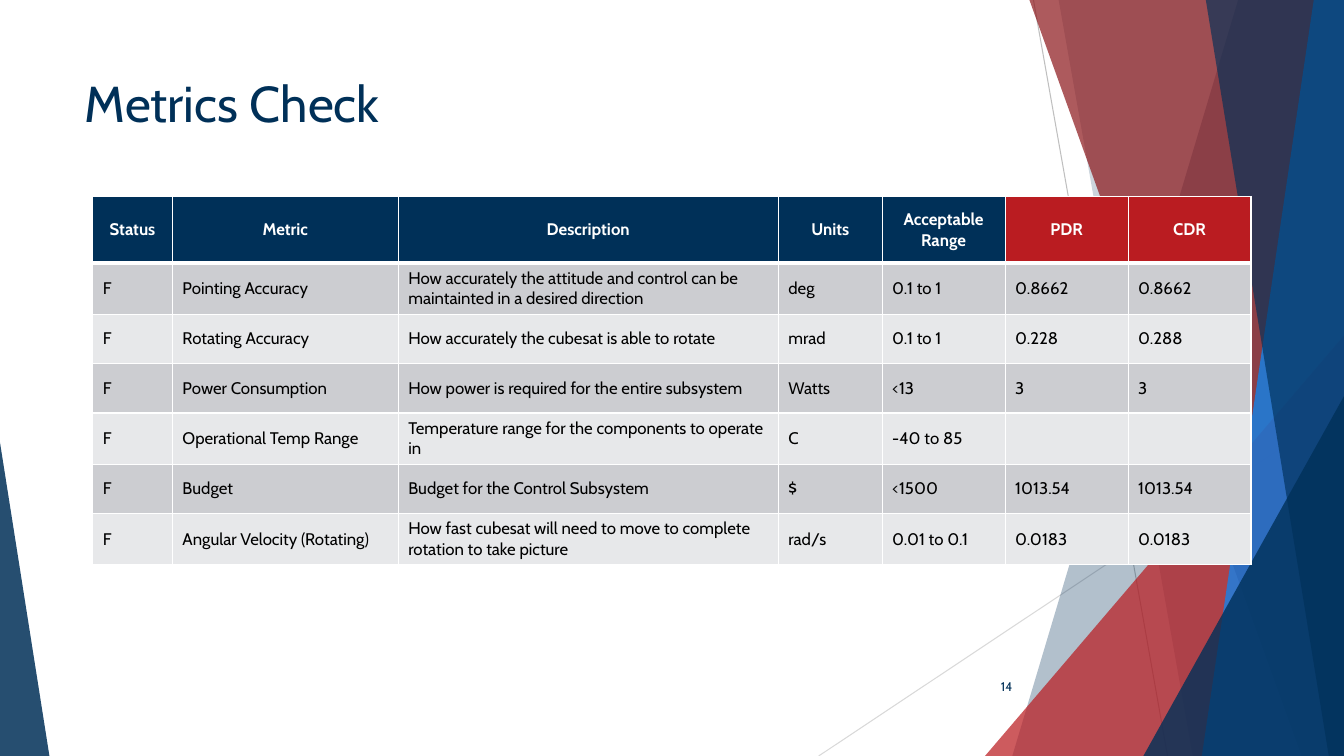
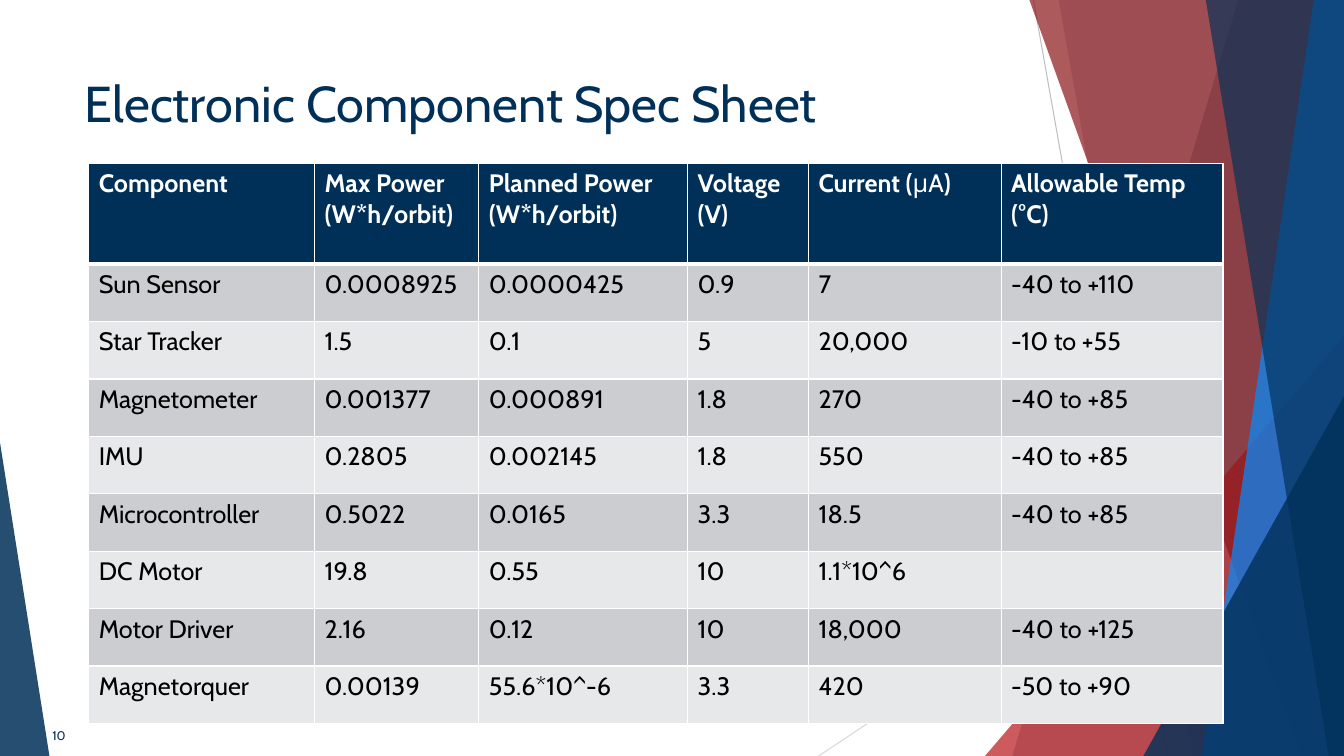
from dataclasses import dataclass

from lxml.etree import SubElement
from pptx import Presentation
from pptx.dml.color import RGBColor
from pptx.enum.shapes import MSO_CONNECTOR, MSO_SHAPE
from pptx.enum.text import MSO_ANCHOR, PP_ALIGN
from pptx.oxml.ns import qn
from pptx.util import Pt

PX = 9144  # EMU in one px, 100 px to the inch
SLIDE_WIDTH, SLIDE_HEIGHT = 1333, 750


@dataclass(frozen=True)
class Theme:
    font: str = "Cabin"
    navy: str = "003058"
    red: str = "BA1C21"
    dark_red: str = "8B1519"
    blue: str = "028CFF"
    white: str = "FFFFFF"
    black: str = "000000"
    thin_line: str = "BFBFBF"
    pale_line: str = "D9D9D9"
    stripes: tuple = ("CCCDD1", "E7E8EA")
    title_size: int = 36
    number_size: int = 9
    grid_width: int = 1
    header_rule_width: int = 3


THEME = Theme()


def px(*lengths):
    return [length * PX for length in lengths]


def add_run(paragraph, text, size, color, bold=False):
    run = paragraph.add_run()
    run.text = text
    run.font.name = THEME.font
    run.font.size = Pt(size)
    run.font.bold = bold
    run.font.color.rgb = RGBColor.from_string(color)


# Background artwork
def paint(shape, color, opacity):
    shape.shadow.inherit = False
    shape.fill.solid()
    shape.fill.fore_color.rgb = RGBColor.from_string(color)
    shape.line.fill.background()
    color_element = shape.element.xpath("./p:spPr/a:solidFill/a:srgbClr")[0]
    SubElement(color_element, qn("a:alpha")).set("val", str(opacity * 1000))


def add_thin_line(slide, start, end, color):
    connector = slide.shapes.add_connector(MSO_CONNECTOR.STRAIGHT, *px(*start, *end))
    connector.line.color.rgb = RGBColor.from_string(color)
    connector.line.width = Pt(0.75)
    SubElement(connector.element.spPr, qn("a:effectLst"))


def add_band(slide, top_left, bottom_left, color, opacity):
    """Full-height band from a slanted left side to the right slide edge."""
    builder = slide.shapes.build_freeform(top_left, 0, scale=PX)
    builder.add_line_segments(
        [(SLIDE_WIDTH, 0), (SLIDE_WIDTH, SLIDE_HEIGHT), (bottom_left, SLIDE_HEIGHT)])
    paint(builder.convert_to_shape(), color, opacity)


def add_corner(slide, left, top, width, apex, color, opacity):
    """Triangle standing on the bottom edge, apex 0 at left and 1 at right."""
    triangle = slide.shapes.add_shape(
        MSO_SHAPE.ISOSCELES_TRIANGLE, *px(left, top, width, SLIDE_HEIGHT - top))
    triangle.adjustments[0] = apex
    paint(triangle, color, opacity)


def add_artwork(slide):
    add_thin_line(slide, (1025, 0), (1158, 750), THEME.thin_line)
    add_thin_line(slide, (1333, 403), (812, 750), THEME.pale_line)
    add_band(slide, 1228, 1004, THEME.navy, 30)
    add_band(slide, 1050, 1183, THEME.navy, 20)
    add_corner(slide, 977, 333, 356, 1, THEME.red, 72)
    add_band(slide, 1021, 1291, THEME.dark_red, 70)
    add_band(slide, 1303, 1192, THEME.blue, 70)
    add_band(slide, 1196, 1318, THEME.navy, 65)
    add_corner(slide, 1134, 393, 199, 1, THEME.navy, 80)
    add_corner(slide, 0, 439, 49, 0, THEME.navy, 85)


def move_artwork_to_layout(slide, layout):
    artwork = [shape for shape in slide.shapes if not shape.is_placeholder]
    for number, shape in enumerate(artwork, start=100):
        shape.element.xpath(".//p:cNvPr")[0].set("id", str(number))
        layout.shapes.element.append(shape.element)


# Title and slide number
def add_title(slide, text, box=(74, 67, 940, 144)):
    title = slide.shapes.title
    title.left, title.top, title.width, title.height = px(*box)
    frame = title.text_frame
    frame.word_wrap = True
    frame.vertical_anchor = MSO_ANCHOR.TOP
    paragraph = frame.paragraphs[0]
    paragraph.alignment = PP_ALIGN.LEFT
    add_run(paragraph, text, THEME.title_size, THEME.navy)


def add_slide_number(slide, number, left, top):
    frame = slide.shapes.add_textbox(*px(left, top, 75, 40)).text_frame
    frame.word_wrap = True
    frame.vertical_anchor = MSO_ANCHOR.MIDDLE
    paragraph = frame.paragraphs[0]
    paragraph.alignment = PP_ALIGN.RIGHT
    add_run(paragraph, str(number), THEME.number_size, THEME.navy)


# Tables
def set_borders(cell, top_width, bottom_width):
    properties = cell._tc.get_or_add_tcPr()
    widths = {"lnL": THEME.grid_width, "lnR": THEME.grid_width,
              "lnT": top_width, "lnB": bottom_width}
    for position, (side, width) in enumerate(widths.items()):
        line = properties.makeelement(qn(f"a:{side}"), {"w": str(Pt(width))})
        fill = SubElement(line, qn("a:solidFill"))
        SubElement(fill, qn("a:srgbClr")).set("val", THEME.white)
        properties.insert(position, line)


def write_cell(cell, content, size, color, bold, alignment):
    """A string holds one paragraph a line; a tuple holds runs, every second one regular."""
    lines = [content] if isinstance(content, tuple) else [(line,) for line in content.split("\n")]
    frame = cell.text_frame
    for index, runs in enumerate(lines):
        paragraph = frame.add_paragraph() if index else frame.paragraphs[0]
        paragraph.alignment = alignment
        for position, text in enumerate(runs):
            if text:
                add_run(paragraph, text, size, color, bold and position % 2 == 0)


def add_data_table(slide, left, top, column_widths, header_height, row_height, rows,
                   size, anchor, header_alignment, red_columns=()):
    heights = [header_height] + [row_height] * (len(rows) - 1)
    table = slide.shapes.add_table(
        len(rows), len(column_widths),
        *px(left, top, sum(column_widths), sum(heights))).table
    table.first_row = table.horz_banding = False
    for column, width in zip(table.columns, column_widths):
        column.width = width * PX
    for row_index, (row, height, contents) in enumerate(zip(table.rows, heights, rows)):
        row.height = height * PX
        is_header = row_index == 0
        for column_index, (cell, content) in enumerate(zip(row.cells, contents)):
            if is_header:
                fill = THEME.red if column_index in red_columns else THEME.navy
            else:
                fill = THEME.stripes[(row_index - 1) % 2]
            cell.fill.solid()
            cell.fill.fore_color.rgb = RGBColor.from_string(fill)
            cell.vertical_anchor = anchor
            set_borders(
                cell,
                THEME.header_rule_width if row_index == 1 else THEME.grid_width,
                THEME.header_rule_width if is_header else THEME.grid_width)
            write_cell(cell, content, size, THEME.white if is_header else THEME.black,
                       is_header, header_alignment if is_header else PP_ALIGN.LEFT)


METRICS = [
    ("Status", "Metric", "Description", "Units", "Acceptable\nRange", "PDR", "CDR"),
    ("F", "Pointing Accuracy",
     "How accurately the attitude and control can be maintainted in a desired direction",
     "deg", "0.1 to 1", "0.8662", "0.8662"),
    ("F", "Rotating Accuracy", "How accurately the cubesat is able to rotate",
     "mrad", "0.1 to 1", "0.228", "0.288"),
    ("F", "Power Consumption", "How power is required for the entire subsystem",
     "Watts", "<13", "3", "3"),
    ("F", "Operational Temp Range", "Temperature range for the components to operate in",
     "C", "-40 to 85", "", ""),
    ("F", "Budget", "Budget for the Control Subsystem", "$", "<1500", "1013.54", "1013.54"),
    ("F", "Angular Velocity (Rotating)",
     "How fast cubesat will need to move to complete rotation to take picture",
     "rad/s", "0.01 to 0.1", "0.0183", "0.0183"),
]

COMPONENTS = [
    ("Component", "Max Power (W*h/orbit)", "Planned Power (W*h/orbit)", "Voltage (V)",
     ("Current (", "μA", ")"), "Allowable Temp (°C)"),
    ("Sun Sensor", "0.0008925", "0.0000425", "0.9", "7", "-40 to +110"),
    ("Star Tracker", "1.5", "0.1", "5", "20,000", "-10 to +55"),
    ("Magnetometer", "0.001377", "0.000891", "1.8", "270", "-40 to +85"),
    ("IMU", "0.2805", "0.002145", "1.8", "550", "-40 to +85"),
    ("Microcontroller", "0.5022", "0.0165", "3.3", "18.5", "-40 to +85"),
    ("DC Motor", "19.8", "0.55", "10", "1.1*10^6", ""),
    ("Motor Driver", "2.16", "0.12", "10", "18,000", "-40 to +125"),
    ("Magnetorquer", "0.00139", "55.6*10^-6", "3.3", "420", "-50 to +90"),
]


# Slides
def build_metrics_slide(slide):
    add_title(slide, "Metrics Check")
    add_data_table(slide, 92, 195, (79, 224, 377, 103, 122, 122, 122), 66, 49, METRICS,
                   12, MSO_ANCHOR.MIDDLE, PP_ALIGN.CENTER, red_columns=(5, 6))
    add_slide_number(slide, 14, 939, 661)


def build_components_slide(slide):
    add_title(slide, "Electronic Component Spec Sheet")
    add_data_table(slide, 88, 162, (224, 163, 207, 120, 191, 220), 100, 57, COMPONENTS,
                   18, MSO_ANCHOR.TOP, PP_ALIGN.LEFT)
    add_slide_number(slide, 10, 0, 710)


def main():
    presentation = Presentation()
    presentation.slide_width, presentation.slide_height = px(SLIDE_WIDTH, SLIDE_HEIGHT)
    layout = presentation.slide_layouts.get_by_name("Title Only")
    metrics_slide = presentation.slides.add_slide(layout)
    add_artwork(metrics_slide)
    move_artwork_to_layout(metrics_slide, layout)
    build_metrics_slide(metrics_slide)
    build_components_slide(presentation.slides.add_slide(layout))
    presentation.save("out.pptx")


if __name__ == "__main__":
    main()
